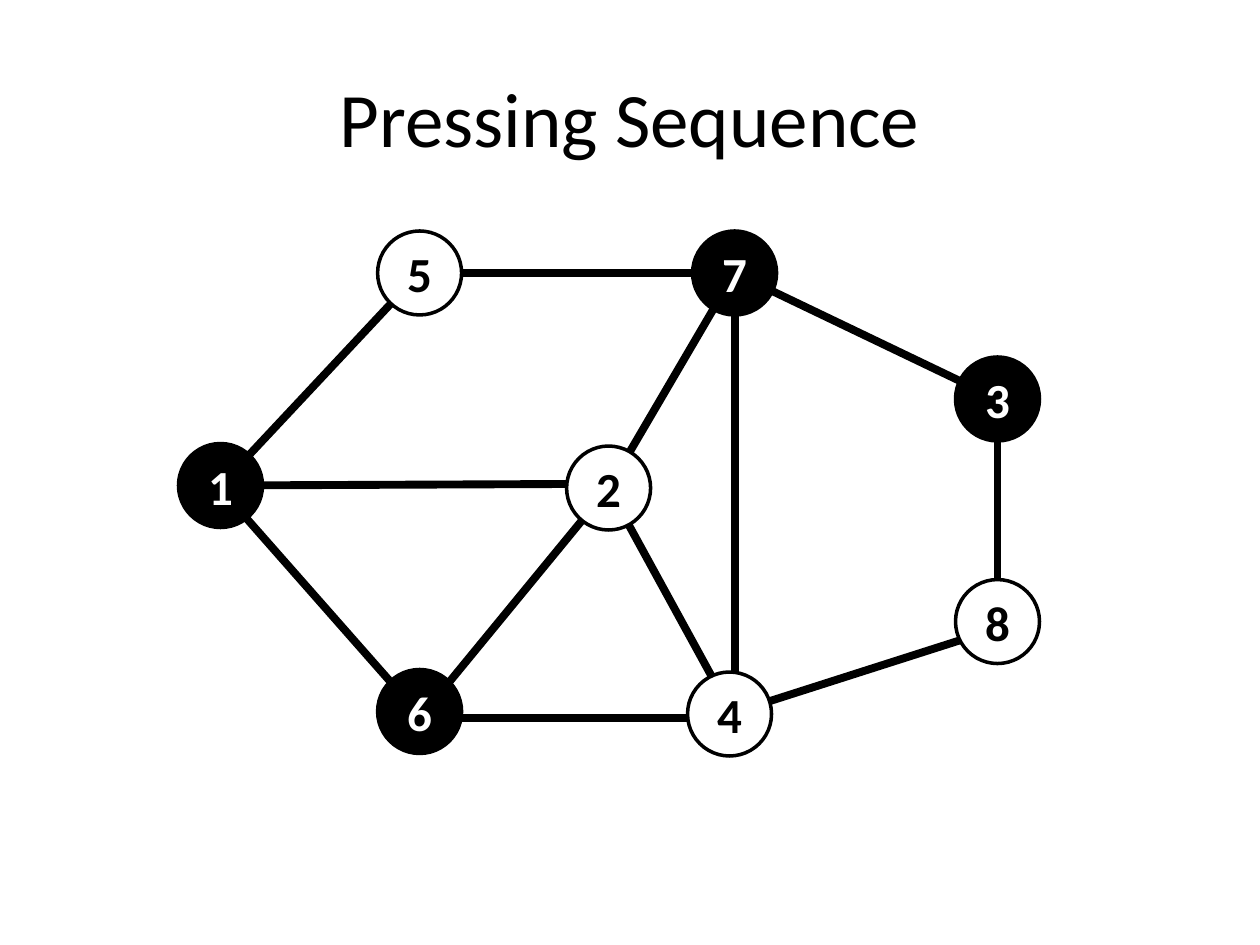
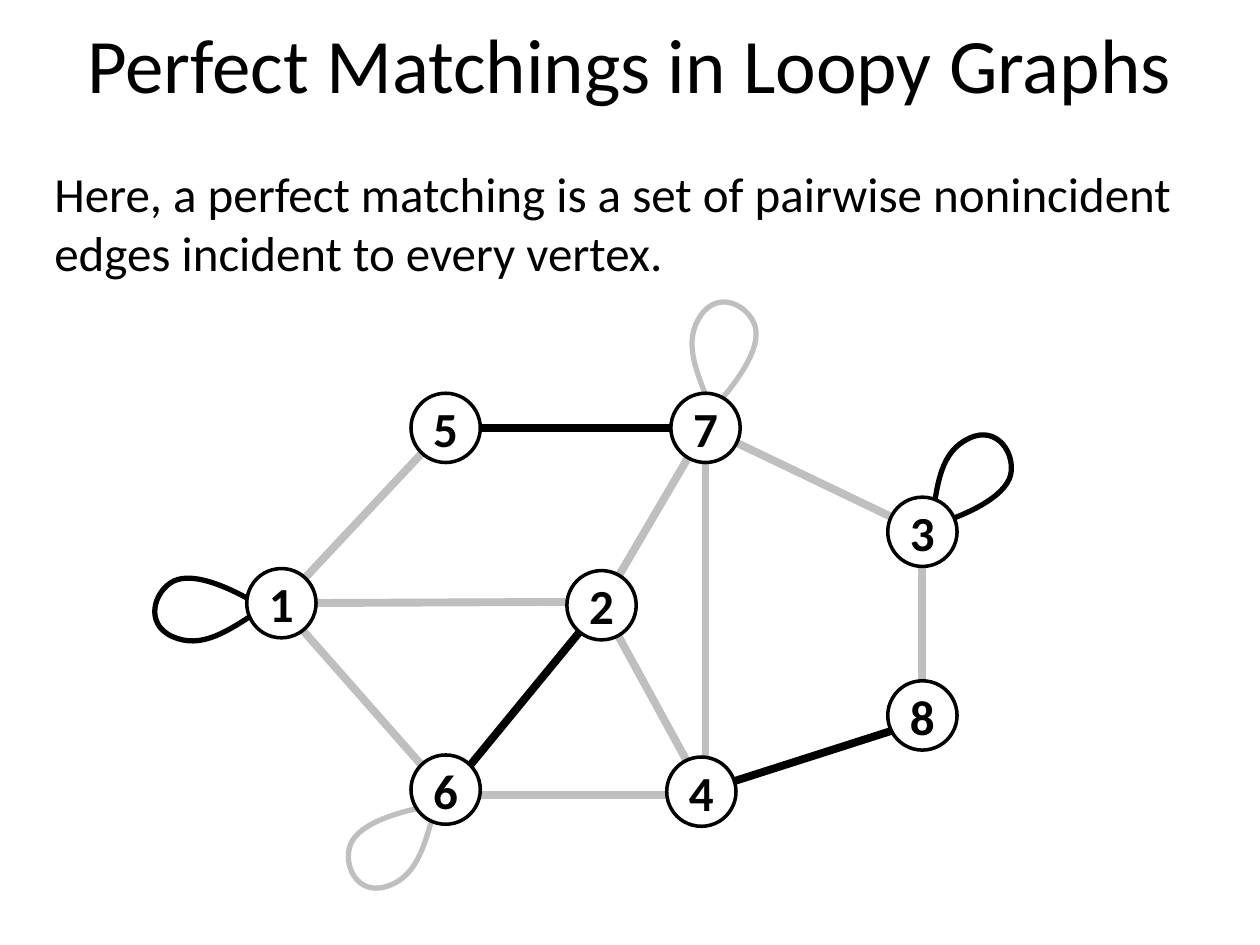
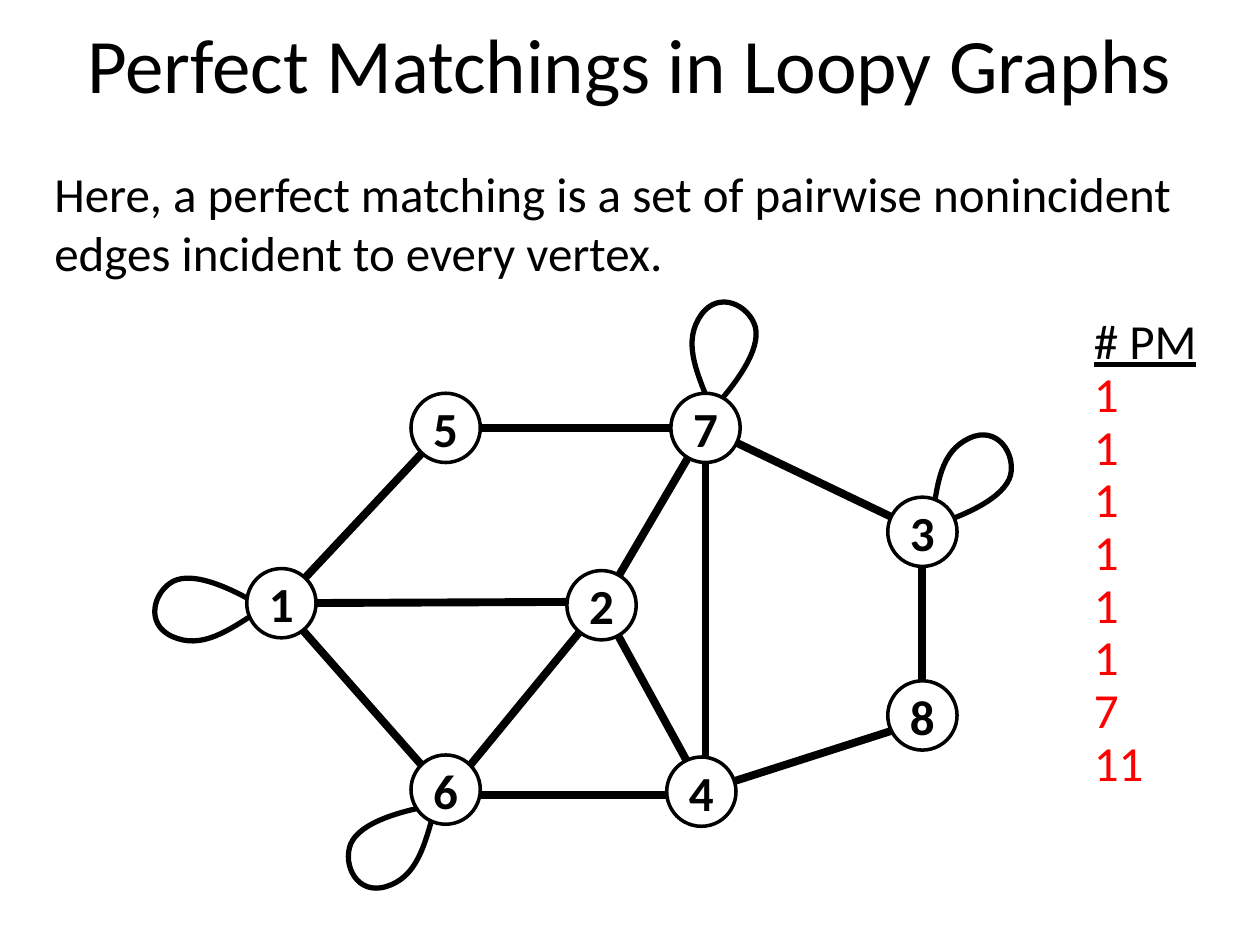
from lxml import etree
from pptx import Presentation, util as u
from pptx.dml.color import RGBColor
from pptx.enum import shapes, text
from pptx.oxml import ns

BLACK = RGBColor(0x00, 0x00, 0x00)
WHITE = RGBColor(0xFF, 0xFF, 0xFF)
GRAY = RGBColor(0xBF, 0xBF, 0xBF)
RED = RGBColor(0xFF, 0x00, 0x00)
FONT = "Calibri"
CELL = u.Inches(1) / 12

NODES = {5: (2.87, 0.5), 1: (0.5, 3.03), 6: (2.87, 5.72), 7: (6.62, 0.5),
         2: (5.12, 3.06), 4: (6.56, 5.75), 3: (9.75, 2), 8: (9.75, 4.65)}
EDGES = [(1, 5), (7, 5), (7, 2), (1, 2), (1, 6), (2, 6),
         (4, 6), (4, 2), (3, 7), (8, 3), (8, 4), (4, 7)]
NUDGES = {(1, 2): (0, 0, 0, -0.05), (1, 6): (0, 0.04, 0, 0.04),
          (2, 6): (0, 0, 0, 0.08), (4, 6): (0.06, 0.05, 0, 0.08),
          (4, 2): (0.06, 0.05, 0, 0), (8, 3): (0, 0.04, 0, 0.1),
          (8, 4): (0, 0.08, 0, 0), (4, 7): (0.06, 0, 0, 0)}
LOOPS = {6: (2.15, 6.48, 228.9), 1: (-0.55, 3.12, 270),
         3: (10.38, 1.3, 40.9), 7: (6.84, -0.54, 11.1)}
LOOP_SIZE = (0.91, 1.58)
LOOP_TIP = (0.53, 1)
LOOP_CURVES = [[(0.13, 0.66), (-0.13, 0.43), (0.07, 0.17)],
               [(0.27, -0.09), (0.79, 0), (0.95, 0.18)],
               [(1.11, 0.37), (0.83, 0.72), LOOP_TIP]]

PRESSED = {1, 3, 6, 7}
MATCHING = {(7, 5), (2, 6), (8, 4)}
MATCHED_LOOPS = {1, 3}
MATCHING_TITLE = "Perfect Matchings in Loopy Graphs"
DEFINITION = ("Here, a perfect matching is a set of pairwise nonincident "
              "edges incident to every vertex.")
COUNTS = ["# PM", "1", "1", "1", "1", "1", "1", "7", "11"]


def cells(*values):
    """Turn grid cells into lengths."""
    return [u.Emu(round(v * CELL)) for v in values]


def write(tf, words, size, color, bold=None, align=None):
    """Fill a text frame with one paragraph."""
    p = tf.paragraphs[0]
    p.text = words
    p.alignment = align
    p.font.name, p.font.size, p.font.bold = FONT, u.Pt(size), bold
    p.font.color.rgb = color
    return p


def add_title(s, box, words):
    """Place a centred slide title in a box."""
    tf = s.shapes.add_textbox(*cells(*box)).text_frame
    tf.word_wrap = True
    tf.vertical_anchor = text.MSO_ANCHOR.MIDDLE
    write(tf, words, 44, BLACK, align=text.PP_ALIGN.CENTER)


def add_body(s, box, words):
    """Place the explanatory text in a box."""
    tf = s.shapes.add_textbox(*cells(*box)).text_frame
    tf.word_wrap = True
    write(tf, words, 28, BLACK)


def add_node(parent, x, y, unit, label, pressed):
    """Draw a numbered vertex centred on a point."""
    sp = parent.add_shape(shapes.MSO_SHAPE.OVAL,
                          *cells(x - unit / 2, y - unit / 2, unit, unit))
    sp.shadow.inherit = False
    sp.fill.solid()
    sp.fill.fore_color.rgb = BLACK if pressed else WHITE
    sp.line.color.rgb, sp.line.width = BLACK, u.Pt(2)
    tf = sp.text_frame
    tf.margin_left = tf.margin_right = tf.margin_top = tf.margin_bottom = 0
    tf.word_wrap = False
    tf.vertical_anchor = text.MSO_ANCHOR.MIDDLE
    write(tf, str(label), 28, WHITE if pressed else BLACK, True,
          text.PP_ALIGN.CENTER)


def add_edge(parent, ends, color):
    """Draw a straight edge between two points."""
    c = parent.add_connector(shapes.MSO_CONNECTOR.STRAIGHT, *cells(*ends))
    c.line.color.rgb, c.line.width = color, u.Pt(4.5)
    etree.SubElement(c._element.spPr, ns.qn("a:effectLst"))


def add_loop(parent, x, y, unit, angle, color):
    """Draw a teardrop loop of Bezier curves centred on a point."""
    w, h = cells(*(side * unit for side in LOOP_SIZE))
    left, top = cells(x, y)
    left, top = left - w // 2, top - h // 2
    fb = parent.build_freeform(left, top)
    fb.add_line_segments([(left + w, top), (left + w, top + h), (left, top + h)])
    sp = fb.convert_to_shape()
    outline = sp._element.xpath(".//a:path")[0]
    for child in list(outline):
        outline.remove(child)
    for tag, points in [("a:moveTo", [LOOP_TIP])] + [
            ("a:cubicBezTo", curve) for curve in LOOP_CURVES]:
        step = etree.SubElement(outline, ns.qn(tag))
        for px, py in points:
            etree.SubElement(step, ns.qn("a:pt"),
                             x=str(round(px * w)), y=str(round(py * h)))
    etree.SubElement(outline, ns.qn("a:close"))
    sp.rotation = angle
    sp.shadow.inherit = False
    sp.fill.background()
    sp.line.color.rgb, sp.line.width = color, u.Pt(3)


def add_graph(parent, box, pressed=(), loops=(), gray_edges=(), gray_loops=()):
    """Draw the graph from a left, top and vertex diameter in cells."""
    left, top, unit = box

    def at(x, y):
        """Map graph units to grid cells."""
        return left + x * unit, top + y * unit

    for n in loops:
        x, y, angle = LOOPS[n]
        add_loop(parent, *at(x, y), unit, angle,
                 GRAY if n in gray_loops else BLACK)
    for edge in EDGES:
        (x1, y1), (x2, y2) = (NODES[n] for n in edge)
        dx1, dy1, dx2, dy2 = NUDGES.get(edge, (0, 0, 0, 0))
        add_edge(parent, at(x1 + dx1, y1 + dy1) + at(x2 + dx2, y2 + dy2),
                 GRAY if edge in gray_edges else BLACK)
    for n, (x, y) in NODES.items():
        add_node(parent, *at(x, y), unit, n, n in pressed)


def add_counts(s, left, top, row):
    """Stack the matching counts under an underlined heading."""
    for i, label in enumerate(COUNTS):
        box = cells(left, top + i * row, 2.5 * (len(label) + 1), 6.8)
        tf = s.shapes.add_textbox(*box).text_frame
        tf.word_wrap = False
        tf.auto_size = text.MSO_AUTO_SIZE.SHAPE_TO_FIT_TEXT
        p = write(tf, label, 28, RED if i else BLACK)
        if i == 0:
            p.font.underline = True


def add_slide(prs):
    """Append a blank slide."""
    return prs.slides.add_slide(prs.slide_layouts[6])


def pressing_slide(prs):
    """Build the slide of the pressing sequence."""
    s = add_slide(prs)
    add_title(s, (6, 3.6, 108, 15), "Pressing Sequence")
    add_graph(s.shapes.add_group_shape().shapes, (17, 22, 8), pressed=PRESSED)


def matching_slide(prs, highlight):
    """Build a matching slide, with one matching or with the counts."""
    s = add_slide(prs)
    add_body(s, (4, 15, 114, 14), DEFINITION)
    add_title(s, (6, 1, 108, 10), MATCHING_TITLE)
    box = (23.5, 37.45, 6.6)
    if highlight:
        add_graph(s.shapes.add_group_shape().shapes, box, loops=LOOPS,
                  gray_edges=set(EDGES) - MATCHING,
                  gray_loops=set(LOOPS) - MATCHED_LOOPS)
    else:
        add_graph(s.shapes, box, loops=LOOPS)
        add_counts(s, 103, 29, 5.02)


def main():
    """Build and save the presentation."""
    prs = Presentation()
    prs.slide_width, prs.slide_height = cells(120, 90)
    pressing_slide(prs)
    matching_slide(prs, highlight=True)
    matching_slide(prs, highlight=False)
    prs.save("out.pptx")


main()
